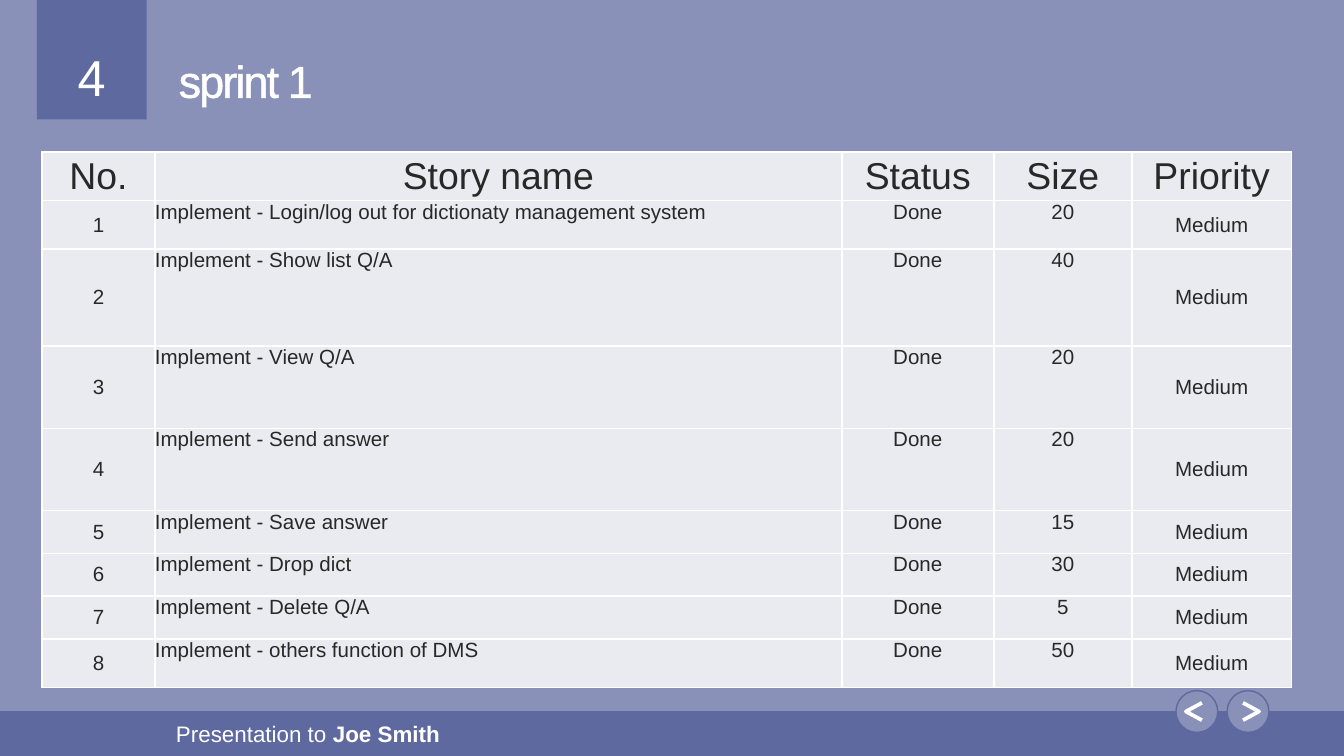
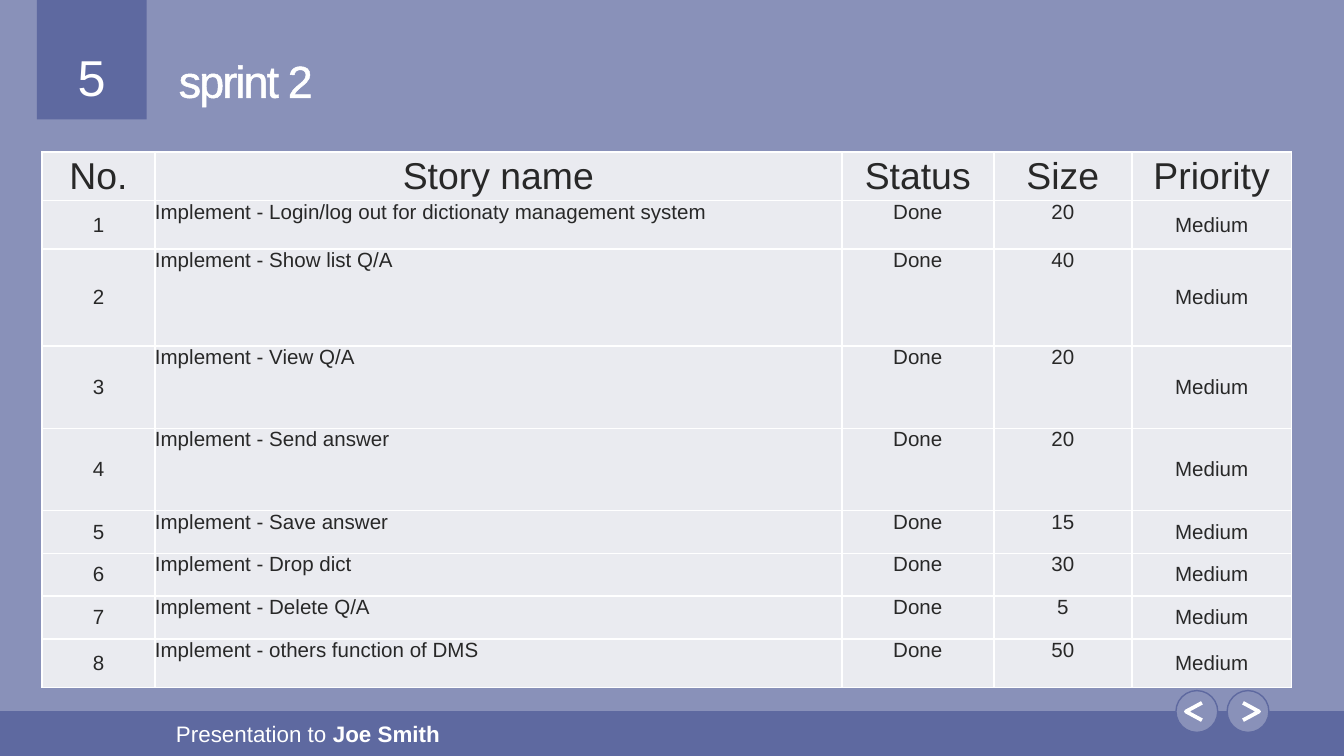
"""Build the two sprint backlog slides."""
from dataclasses import dataclass

from lxml.etree import SubElement
from pptx import Presentation
from pptx.dml.color import RGBColor
from pptx.enum.shapes import MSO_SHAPE
from pptx.enum.text import MSO_ANCHOR, MSO_AUTO_SIZE, PP_ALIGN
from pptx.oxml.ns import qn
from pptx.util import Pt

STORIES = [
    ("1", "Implement - Login/log out for dictionaty management system", "Done", "20", "Medium"),
    ("2", "Implement - Show list Q/A", "Done", "40", "Medium"),
    ("3", "Implement - View Q/A", "Done", "20", "Medium"),
    ("4", "Implement - Send answer", "Done", "20", "Medium"),
    ("5", "Implement - Save answer", "Done", "15", "Medium"),
    ("6", "Implement - Drop dict", "Done", "30", "Medium"),
    ("7", "Implement - Delete Q/A", "Done", "5", "Medium"),
    ("8", "Implement - others function of DMS", "Done", "50", "Medium"),
]
HEADINGS = ("No.", "Story name", "Status", "Size", "Priority")
SPRINTS = [("4", "sprint 1", STORIES), ("5", "sprint 2", STORIES)]
FOOTER = [("Presentation to ", False), ("Joe Smith", True)]

COLUMN_WIDTHS = (60.5, 368, 81.4, 74, 85.5)
ROW_HEIGHTS = (26, 26, 52, 44, 44, 23, 23, 23, 26)
TABLE_LEFT, TABLE_TOP = 22.5, 81.5
STORY_COLUMN = 1
MIDDLE_COLUMNS = (0, 4)

BUTTON_TOP, BUTTON_SIZE = 370, 22.4
BUTTONS = [(630, -1), (657.4, 1)]
ARROW_WIDTH, ARROW_HEIGHT = 8.6, 9.3


@dataclass(frozen=True)
class Theme:
    background: str = "8991B9"
    band: str = "5E69A0"
    cell: str = "EAEBF0"
    ink: str = "282828"
    white: str = "FFFFFF"
    font: str = "Arial"
    number_size: float = 27
    title_size: float = 24
    heading_size: float = 20
    footer_size: float = 12
    body_size: float = 11
    title_outline: float = 1.45
    title_spacing: float = -1


THEME = Theme()


def rgb(value):
    return RGBColor.from_string(value)


def add_run(paragraph, text, size, color, bold=False):
    run = paragraph.add_run()
    run.text = text
    run.font.name = THEME.font
    run.font.size = Pt(size)
    run.font.bold = bold
    run.font.color.rgb = rgb(color)
    return run


def add_line_xml(parent, tag, width, color, position):
    line = SubElement(parent, qn(tag), w=str(Pt(width)))
    fill = SubElement(line, qn("a:solidFill"))
    SubElement(fill, qn("a:srgbClr"), val=color)
    parent.insert(position, line)


def add_panel(slide, preset, left, top, width, height, color, outline=None):
    panel = slide.shapes.add_shape(preset, Pt(left), Pt(top), Pt(width), Pt(height))
    panel.shadow.inherit = False
    panel.fill.solid()
    panel.fill.fore_color.rgb = rgb(color)
    if outline:
        panel.line.color.rgb = rgb(outline)
        panel.line.width = Pt(0.75)
    else:
        panel.line.fill.background()


def add_text_frame(slide, left, top, width, height, anchor):
    frame = slide.shapes.add_textbox(Pt(left), Pt(top), Pt(width), Pt(height)).text_frame
    frame.word_wrap = True
    frame.vertical_anchor = anchor
    frame.margin_left = frame.margin_top = frame.margin_right = frame.margin_bottom = 0
    return frame


def add_arrow(slide, button_left, direction):
    center_x = button_left + BUTTON_SIZE / 2 + direction * 1.6
    center_y = BUTTON_TOP + BUTTON_SIZE / 2
    back = Pt(center_x - direction * ARROW_WIDTH / 2)
    tip = Pt(center_x + direction * ARROW_WIDTH / 2)
    top, bottom = (Pt(center_y + side * ARROW_HEIGHT / 2) for side in (-1, 1))
    builder = slide.shapes.build_freeform(back, top)
    builder.add_line_segments([(tip, Pt(center_y)), (back, bottom)], close=False)
    arrow = builder.convert_to_shape()
    arrow.shadow.inherit = False
    arrow.fill.background()
    arrow.line.color.rgb = rgb(THEME.white)
    arrow.line.width = Pt(2)


def add_frame(slide, number):
    slide.background.fill.solid()
    slide.background.fill.fore_color.rgb = rgb(THEME.background)

    add_panel(slide, MSO_SHAPE.RECTANGLE, 19.75, 0, 58.75, 64, THEME.band)
    page = add_text_frame(slide, 19.75, 36, 58.75, 21.6, MSO_ANCHOR.BOTTOM).paragraphs[0]
    page.alignment = PP_ALIGN.CENTER
    page.line_spacing = 0.9
    add_run(page, number, THEME.number_size, THEME.white)

    add_panel(slide, MSO_SHAPE.RECTANGLE, 0, 381, 720, 24, THEME.band)
    for left, _ in BUTTONS:
        add_panel(slide, MSO_SHAPE.OVAL, left, BUTTON_TOP, BUTTON_SIZE, BUTTON_SIZE,
                  THEME.background, THEME.band)
    footer = add_text_frame(slide, 94.3, 386, 201.6, 14.4, MSO_ANCHOR.TOP)
    footer.auto_size = MSO_AUTO_SIZE.SHAPE_TO_FIT_TEXT
    for text, bold in FOOTER:
        add_run(footer.paragraphs[0], text, THEME.footer_size, THEME.white, bold)
    for left, direction in BUTTONS:
        add_arrow(slide, left, direction)


def add_title(slide, text):
    title = add_text_frame(slide, 95.75, 0, 584.6, 57.6, MSO_ANCHOR.BOTTOM).paragraphs[0]
    title.line_spacing = 0.9
    run = add_run(title, text, THEME.title_size, THEME.white)
    properties = run.font._element
    properties.set("spc", str(int(THEME.title_spacing * 100)))
    add_line_xml(properties, "a:ln", THEME.title_outline, THEME.white, 0)


def fill_cell(cell, text, column, is_heading):
    cell.margin_left = cell.margin_top = cell.margin_right = cell.margin_bottom = 0
    centered = is_heading or column != STORY_COLUMN
    middle = is_heading or column in MIDDLE_COLUMNS
    cell.vertical_anchor = MSO_ANCHOR.MIDDLE if middle else MSO_ANCHOR.TOP
    paragraph = cell.text_frame.paragraphs[0]
    paragraph.alignment = PP_ALIGN.CENTER if centered else PP_ALIGN.LEFT
    size = THEME.heading_size if is_heading else THEME.body_size
    add_run(paragraph, text, size, THEME.ink)
    cell.fill.solid()
    cell.fill.fore_color.rgb = rgb(THEME.cell)
    properties = cell._tc.get_or_add_tcPr()
    for position, tag in enumerate(("a:lnL", "a:lnR", "a:lnT", "a:lnB")):
        add_line_xml(properties, tag, 1, THEME.white, position)


def add_backlog(slide, stories):
    rows = [HEADINGS, *stories]
    backlog = slide.shapes.add_table(
        len(rows), len(HEADINGS), Pt(TABLE_LEFT), Pt(TABLE_TOP),
        Pt(sum(COLUMN_WIDTHS)), Pt(sum(ROW_HEIGHTS))).table
    backlog.first_row = False
    backlog.horz_banding = False
    for column, width in zip(backlog.columns, COLUMN_WIDTHS):
        column.width = Pt(width)
    for row, height in zip(backlog.rows, ROW_HEIGHTS):
        row.height = Pt(height)
    for row_index, row in enumerate(rows):
        for column_index, text in enumerate(row):
            fill_cell(backlog.cell(row_index, column_index), text, column_index, row_index == 0)


def main():
    deck = Presentation()
    deck.slide_width, deck.slide_height = Pt(720), Pt(405)
    for number, title, stories in SPRINTS:
        slide = deck.slides.add_slide(deck.slide_layouts[6])
        add_frame(slide, number)
        add_title(slide, title)
        add_backlog(slide, stories)
    deck.save("out.pptx")


if __name__ == "__main__":
    main()
